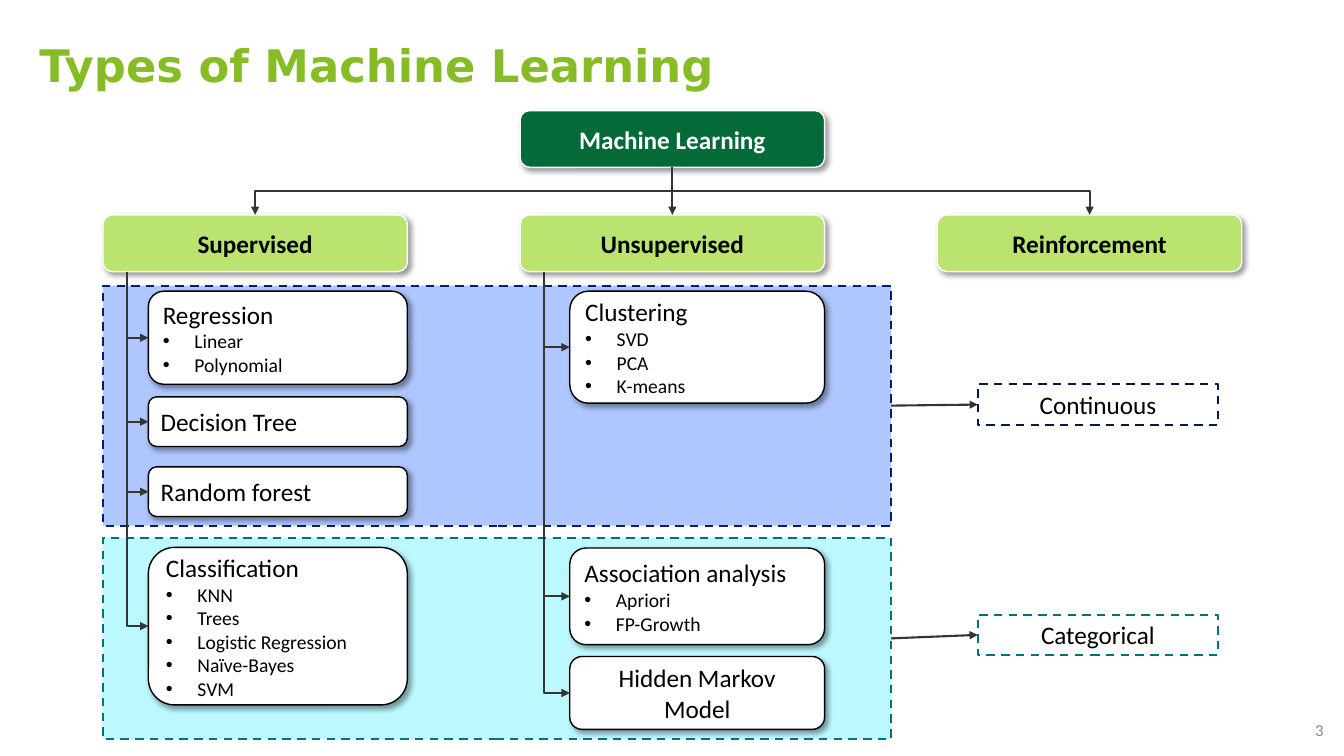
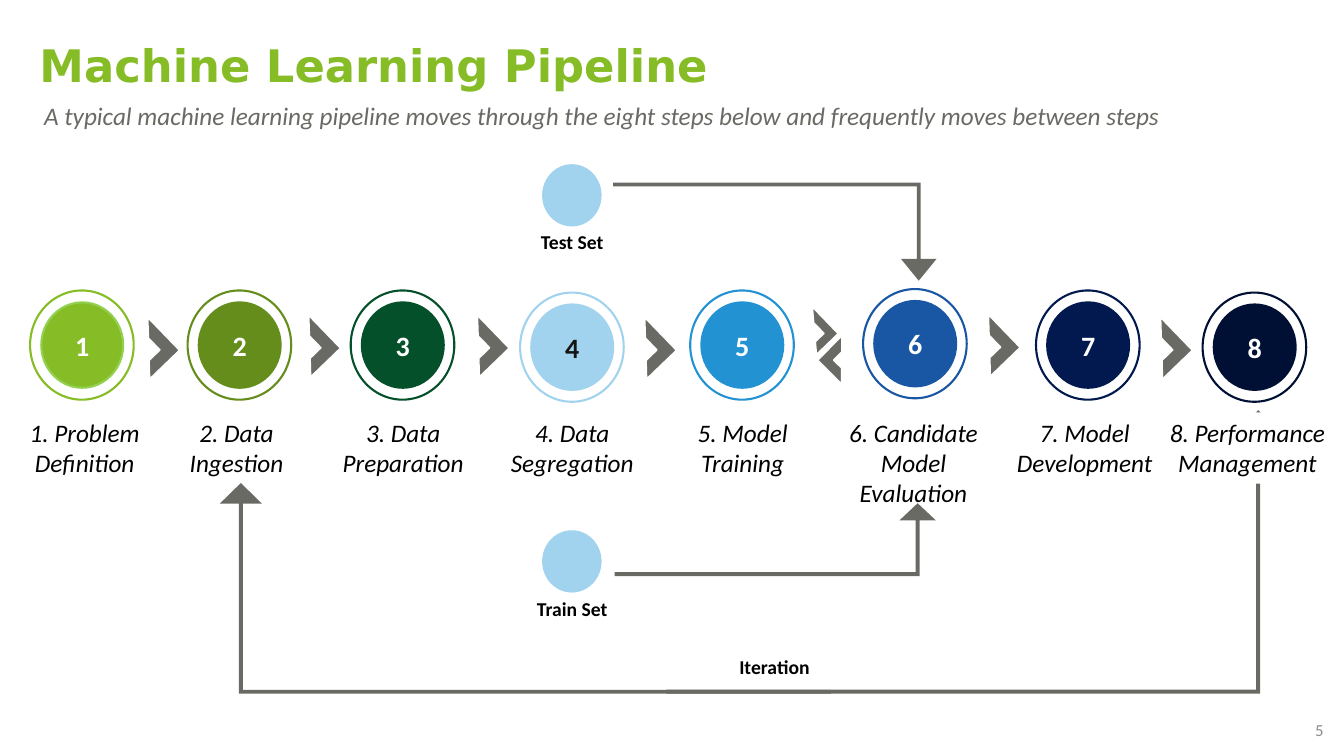
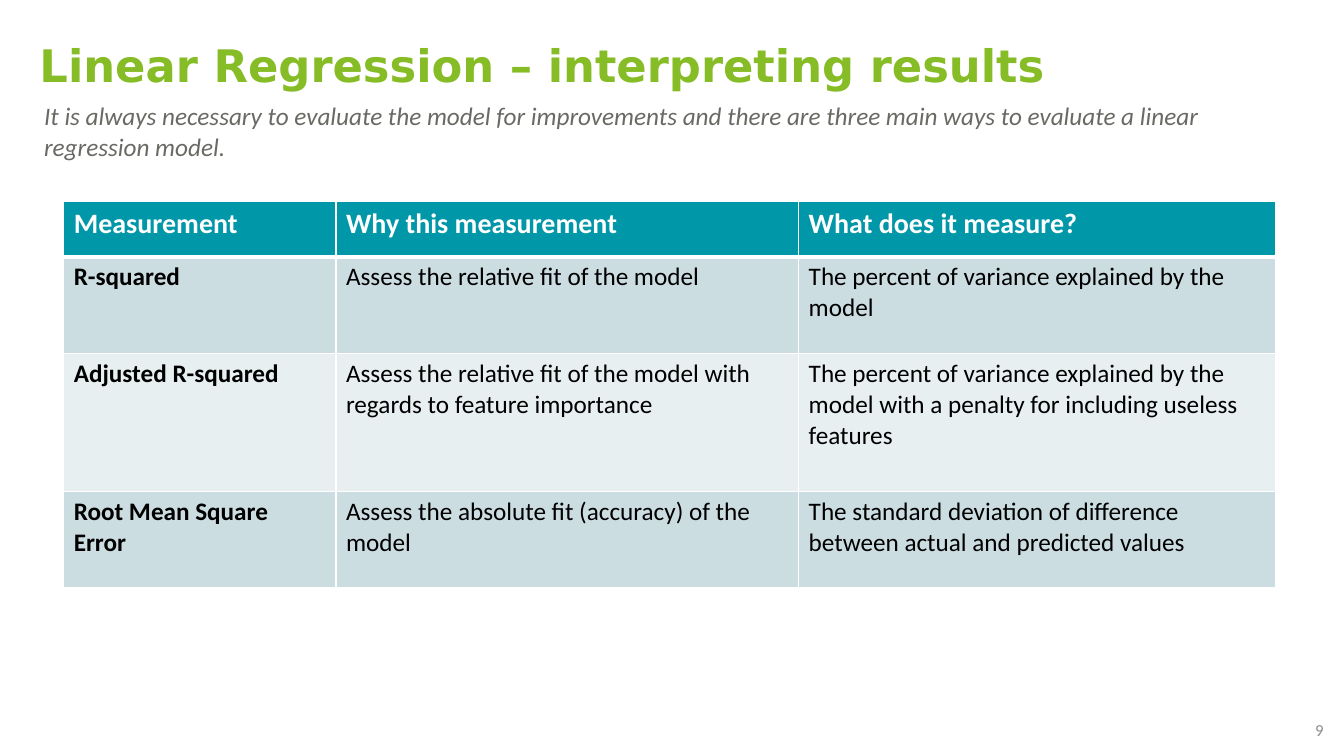
from dataclasses import dataclass

from lxml import etree
from pptx import Presentation
from pptx.dml.color import RGBColor
from pptx.enum.dml import MSO_LINE
from pptx.enum.shapes import MSO_CONNECTOR, MSO_SHAPE
from pptx.enum.text import MSO_ANCHOR, MSO_AUTO_SIZE, PP_ALIGN
from pptx.oxml.ns import qn
from pptx.util import Pt

RECTANGLE = MSO_SHAPE.RECTANGLE
ROUNDED = MSO_SHAPE.ROUNDED_RECTANGLE
OVAL = MSO_SHAPE.OVAL
CHEVRON = MSO_SHAPE.HALF_FRAME
BENT_ARROW = MSO_SHAPE.BENT_UP_ARROW
STRAIGHT = MSO_CONNECTOR.STRAIGHT
ELBOW = MSO_CONNECTOR.ELBOW
DASH = MSO_LINE.DASH
LEFT, CENTER, RIGHT = PP_ALIGN.LEFT, PP_ALIGN.CENTER, PP_ALIGN.RIGHT
TOP, MIDDLE = MSO_ANCHOR.TOP, MSO_ANCHOR.MIDDLE
SIDE_TOP, SIDE_LEFT, SIDE_BOTTOM, SIDE_RIGHT = range(4)
TITLE_ONLY = 5


def color(value):
    return RGBColor.from_string(value)


@dataclass(frozen=True)
class Theme:
    title_font: str = "DejaVu Sans"
    body_font: str = "Calibri"
    title_size: float = 32
    heading_size: float = 20
    body_size: float = 18
    small_size: float = 14
    number_size: float = 12
    title: RGBColor = color("86BC25")
    gray: RGBColor = color("6A6A65")
    page_number: RGBColor = color("8C8C8C")
    black: RGBColor = color("000000")
    ink: RGBColor = color("151514")
    white: RGBColor = color("FFFFFF")
    connector: RGBColor = color("353533")
    root: RGBColor = color("046A38")
    branch: RGBColor = color("BAE370")
    continuous: RGBColor = color("AFC7FE")
    continuous_edge: RGBColor = color("012169")
    continuous_outcome: RGBColor = color("01194F")
    categorical: RGBColor = color("BBF8FF")
    categorical_edge: RGBColor = color("00717F")
    sky: RGBColor = color("A1D3EF")
    first_step_edge: RGBColor = color("92D050")
    table_header: RGBColor = color("0097A9")
    table_rows: tuple = (color("CCDDE2"), color("E7EFF1"))


THEME = Theme()


@dataclass(frozen=True)
class Step:
    label: str
    ring_left: float
    ring_top: float
    label_left: float
    label_width: float
    fill: RGBColor


STEPS = (
    Step("Problem Definition", 21.5, 207.5, 4.5, 112, THEME.title),
    Step("Data Ingestion", 134, 207.5, 113, 112, color("658D1C")),
    Step("Data Preparation", 250.5, 207.5, 232, 112, color("03502A")),
    Step("Data Segregation", 371.5, 209, 335, 147.5, THEME.sky),
    Step("Model Training", 493, 207.5, 466.5, 128, color("2392D2")),
    Step("Candidate Model Evaluation", 616.5, 206.5, 591, 123, color("1957A4")),
    Step("Model Development", 740, 207.5, 701, 147.5, THEME.continuous_outcome),
    Step("Performance Management", 859, 209, 825, 132, color("001035")),
)


def points(*values):
    return [Pt(value) for value in values]


def write(frame, text, size=THEME.body_size, font=THEME.body_font, ink=THEME.black,
          bold=False, italic=False, align=LEFT, space_after=None, bullet=False):
    """Fill the frame's first paragraph, or add one below existing text."""
    paragraph = frame.add_paragraph() if frame.text else frame.paragraphs[0]
    paragraph.alignment = align
    if space_after is not None:
        paragraph.space_after = Pt(space_after)
    if bullet:
        properties = paragraph._p.get_or_add_pPr()
        properties.set("marL", str(Pt(22.5)))
        properties.set("indent", str(-Pt(22.5)))
        etree.SubElement(properties, qn("a:buFont"), typeface="Arial")
        etree.SubElement(properties, qn("a:buChar"), char="•")
    run = paragraph.add_run()
    run.text = text
    run.font.name, run.font.size = font, Pt(size)
    run.font.bold, run.font.italic = bold, italic
    run.font.color.rgb = ink


def add_text(slide, bounds, text, anchor=TOP, margins=True, **text_format):
    frame = slide.shapes.add_textbox(*points(*bounds)).text_frame
    frame.word_wrap = True
    frame.vertical_anchor = anchor
    if not margins:
        frame.margin_left = frame.margin_right = frame.margin_top = frame.margin_bottom = 0
    write(frame, text, **text_format)


def add_shadow(shape):
    effects = shape._element.spPr.find(qn("a:effectLst"))
    shadow = etree.SubElement(effects, qn("a:outerShdw"), blurRad=str(Pt(4)), dist=str(Pt(3)),
                              dir="2700000", algn="tl", rotWithShape="0")
    shade = etree.SubElement(shadow, qn("a:srgbClr"), val=str(THEME.black))
    etree.SubElement(shade, qn("a:alpha"), val="40000")


def add_box(slide, kind, bounds, fill=None, line=None, width=1.5, dashed=False,
            shadow=False, anchor=MIDDLE, rotation=0):
    shape = slide.shapes.add_shape(kind, *points(*bounds))
    shape.shadow.inherit = False
    shape.rotation = rotation
    shape.text_frame.vertical_anchor = anchor
    if fill is None:
        shape.fill.background()
    else:
        shape.fill.solid()
        shape.fill.fore_color.rgb = fill
    if line is None:
        shape.line.fill.background()
    else:
        shape.line.color.rgb = line
        shape.line.width = Pt(width)
        if dashed:
            shape.line.dash_style = DASH
    if shadow:
        add_shadow(shape)
    return shape


def finish_arrow(connector):
    connector.line.color.rgb = THEME.connector
    connector.line.width = Pt(1.5)
    properties = connector._element.spPr
    etree.SubElement(properties.find(qn("a:ln")), qn("a:tailEnd"), type="triangle")
    etree.SubElement(properties, qn("a:effectLst"))


def join(slide, start, start_side, end, end_side):
    connector = slide.shapes.add_connector(STRAIGHT, 0, 0, 0, 0)
    connector.begin_connect(start, start_side)
    connector.end_connect(end, end_side)
    finish_arrow(connector)


def add_elbow(slide, start, end, preset):
    """Bent arrow that leaves start downwards; the unrotated frame has its sides swapped."""
    (x1, y1), (x2, y2) = start, end
    across, down = abs(x2 - x1), y2 - y1
    left, top = (x1 + x2 - down) / 2, (y1 + y2 - across) / 2
    near, far = left, left + down
    rightwards = x2 > x1
    if rightwards:
        near, far = far, near
    connector = slide.shapes.add_connector(ELBOW, *points(near, top, far, top + across))
    connector.rotation = 270 if rightwards else 90
    connector._element.spPr.find(qn("a:prstGeom")).set("prst", preset)
    finish_arrow(connector)


def add_bent_arrow(slide, bounds, adjustments, flip=None):
    arrow = add_box(slide, BENT_ARROW, bounds, fill=THEME.gray)
    for index, value in enumerate(adjustments):
        arrow.adjustments[index] = value
    if flip:
        arrow._element.spPr.find(qn("a:xfrm")).set(flip, "1")


def new_slide(presentation, title, number, subtitle=None, title_width=661):
    slide = presentation.slides.add_slide(presentation.slide_layouts[TITLE_ONLY])
    shape = slide.shapes.title
    shape.left, shape.top, shape.width, shape.height = points(21, 20, title_width, 55)
    frame = shape.text_frame
    frame.auto_size = MSO_AUTO_SIZE.NONE
    frame.vertical_anchor = TOP
    frame.margin_top = Pt(7)
    write(frame, title, size=THEME.title_size, font=THEME.title_font, ink=THEME.title, bold=True)
    if subtitle:
        add_text(slide, (31.5, 72, 879, 22), subtitle, margins=False, ink=THEME.gray,
                 italic=True, space_after=4.5)
    add_text(slide, (736.5, 507, 216, 28.5), str(number), anchor=MIDDLE,
             size=THEME.number_size, ink=THEME.page_number, align=RIGHT)
    return slide


def add_node(slide, left, top, text, fill, ink=THEME.black):
    node = add_box(slide, ROUNDED, (left, top, 217.5, 40.5), fill, THEME.white, 1, shadow=True)
    write(node.text_frame, text, ink=ink, bold=True, align=CENTER)
    return node


def add_methods(slide, trunk, left, width, methods):
    """Method boxes in one column, each reached by an arrow from the trunk."""
    for top, height, heading, bullets, align in methods:
        box = add_box(slide, ROUNDED, (left, top, width, height), THEME.white, THEME.black, 1,
                      shadow=True)
        write(box.text_frame, heading, align=align)
        for item in bullets:
            write(box.text_frame, item, size=THEME.small_size, bullet=True)
        add_elbow(slide, (trunk, 194), (left, top + height / 2), "bentConnector2")


def build_types(presentation):
    slide = new_slide(presentation, "Types of Machine Learning", 3)
    bands = (
        ("Categorical", 384, 144, 439, THEME.categorical, THEME.categorical_edge,
         THEME.categorical_edge),
        ("Continuous", 204, 171.5, 274.5, THEME.continuous, THEME.continuous_edge,
         THEME.continuous_outcome),
    )
    for text, top, height, outcome_top, fill, edge, outcome_edge in bands:
        band = add_box(slide, RECTANGLE, (73.5, top, 563, height), fill, edge, dashed=True)
        outcome = add_box(slide, RECTANGLE, (698.5, outcome_top, 171.5, 29), line=outcome_edge,
                          dashed=True, anchor=TOP)
        write(outcome.text_frame, text, align=CENTER)
        join(slide, band, SIDE_RIGHT, outcome, SIDE_LEFT)

    root_left, branch_gap, branch_top = 371.5, 298, 153.5
    root_center = root_left + 217.5 / 2
    root = add_node(slide, root_left, 79, "Machine Learning", THEME.root, THEME.white)
    for offset, text in zip((-branch_gap, 0, branch_gap),
                            ("Supervised", "Unsupervised", "Reinforcement")):
        branch = add_node(slide, root_left + offset, branch_top, text, THEME.branch)
        if offset:
            add_elbow(slide, (root_center, 119.5), (root_center + offset, branch_top),
                      "bentConnector3")
        else:
            join(slide, root, SIDE_BOTTOM, branch, SIDE_TOP)

    add_methods(slide, 91, 106, 185, (
        (208, 66.5, "Regression", ("Linear", "Polynomial"), LEFT),
        (283.5, 35.5, "Decision Tree", (), LEFT),
        (333.5, 35.5, "Random forest", (), LEFT),
        (391, 112.5, "Classification",
         ("KNN", "Trees", "Logistic Regression", "Naïve-Bayes", "SVM"), LEFT),
    ))
    add_methods(slide, 388.5, 407, 182, (
        (208, 80, "Clustering", ("SVD", "PCA", "K-means"), LEFT),
        (391.5, 69, "Association analysis", ("Apriori", "FP-Growth"), LEFT),
        (469, 52, "Hidden Markov Model", (), CENTER),
    ))


def add_step(slide, number, step):
    add_box(slide, OVAL, (step.ring_left, step.ring_top, 74, 78), line=step.fill)
    disc = add_box(slide, OVAL, (step.ring_left + 8, step.ring_top + 8.5, 58.5, 61), step.fill,
                   THEME.first_step_edge if number == 1 else step.fill)
    write(disc.text_frame, str(number), size=THEME.heading_size, bold=True, align=CENTER,
          ink=THEME.ink if step.fill == THEME.sky else THEME.white)
    lines = len(step.label.split())
    label = add_box(slide, RECTANGLE, (step.label_left, 294.5, step.label_width, 7 + 22 * lines),
                    THEME.white if number == len(STEPS) else None, anchor=TOP)
    write(label.text_frame, f"{number}. {step.label}", italic=True, align=CENTER)


def build_pipeline(presentation):
    slide = new_slide(presentation, "Machine Learning Pipeline", 5,
                      "A typical machine learning pipeline moves through the eight steps below "
                      "and frequently moves between steps")
    add_bent_arrow(slide, (438, 130.5, 231, 70), (0.037, 0.182, 0.223), "flipV")
    add_bent_arrow(slide, (439, 359.5, 229.5, 52), (0.053, 0.25, 0.236))
    add_bent_arrow(slide, (157, 345, 436.5, 150.5), (0.018, 0.1, 0.098), "flipH")
    add_bent_arrow(slide, (476, 293, 443, 202.5), (0.014, 0.1, 0.098))

    for number, step in enumerate(STEPS, 1):
        add_step(slide, number, step)

    forward = 136
    chevrons = [(left, top, 29.5, 32.5, forward) for left, top in (
        (91.5, 232.5), (206.5, 231), (327, 231), (446.5, 232.5), (692, 230.5), (815, 232.5))]
    chevrons += [(571, 223, 21.5, 26.5, forward), (589, 245, 24.5, 24, 314.8)]
    for *bounds, rotation in chevrons:
        add_box(slide, CHEVRON, bounds, THEME.gray, THEME.white, 1, rotation=rotation)

    caption = {"size": THEME.small_size, "bold": True, "align": CENTER}
    for text, top in (("Test Set", 118), ("Train Set", 379.5)):
        add_box(slide, OVAL, (388, top, 41, 43), THEME.sky, THEME.sky)
        add_text(slide, (373, top + 43, 71.5, 24.5), text, **caption)
    add_text(slide, (517.5, 464.5, 71.5, 24.5), "Iteration", **caption)


def set_borders(cell, bottom):
    properties = cell._tc.get_or_add_tcPr()
    for side, width in (("L", 1), ("R", 1), ("T", 1), ("B", bottom)):
        line = etree.SubElement(properties, qn(f"a:ln{side}"), w=str(Pt(width)))
        fill = etree.SubElement(line, qn("a:solidFill"))
        etree.SubElement(fill, qn("a:srgbClr"), val=str(THEME.white))


def add_table(slide, left, top, widths, heights, rows):
    frame = slide.shapes.add_table(len(rows), len(widths),
                                   *points(left, top, sum(widths), sum(heights)))
    table = frame.table
    for column, width in zip(table.columns, widths):
        column.width = Pt(width)
    for row_index, (height, texts) in enumerate(zip(heights, rows)):
        table.rows[row_index].height = Pt(height)
        header = row_index == 0
        for column_index, text in enumerate(texts):
            cell = table.cell(row_index, column_index)
            set_borders(cell, 3 if header else 1)
            cell.fill.solid()
            cell.fill.fore_color.rgb = (
                THEME.table_header if header else THEME.table_rows[(row_index - 1) % 2])
            write(cell.text_frame, text, bold=header or column_index == 0,
                  size=THEME.heading_size if header else THEME.body_size,
                  ink=THEME.white if header else THEME.black)


def build_results(presentation):
    slide = new_slide(presentation, "Linear Regression – interpreting results", 9,
                      "It is always necessary to evaluate the model for improvements and there "
                      "are three main ways to evaluate a linear regression model.",
                      title_width=748)
    add_table(slide, 45.5, 144, (194.5, 330.5, 340.5), (39.5, 69, 98.5, 69), (
        ("Measurement", "Why this measurement", "What does it measure?"),
        ("R-squared", "Assess the relative fit of the model",
         "The percent of variance explained by the model"),
        ("Adjusted R-squared",
         "Assess the relative fit of the model with regards to feature importance",
         "The percent of variance explained by the model with a penalty for including "
         "useless features"),
        ("Root Mean Square Error", "Assess the absolute fit (accuracy) of the model",
         "The standard deviation of difference between actual and predicted values"),
    ))


def main():
    presentation = Presentation()
    presentation.slide_width, presentation.slide_height = points(960, 540)
    build_types(presentation)
    build_pipeline(presentation)
    build_results(presentation)
    presentation.save("out.pptx")


if __name__ == "__main__":
    main()
